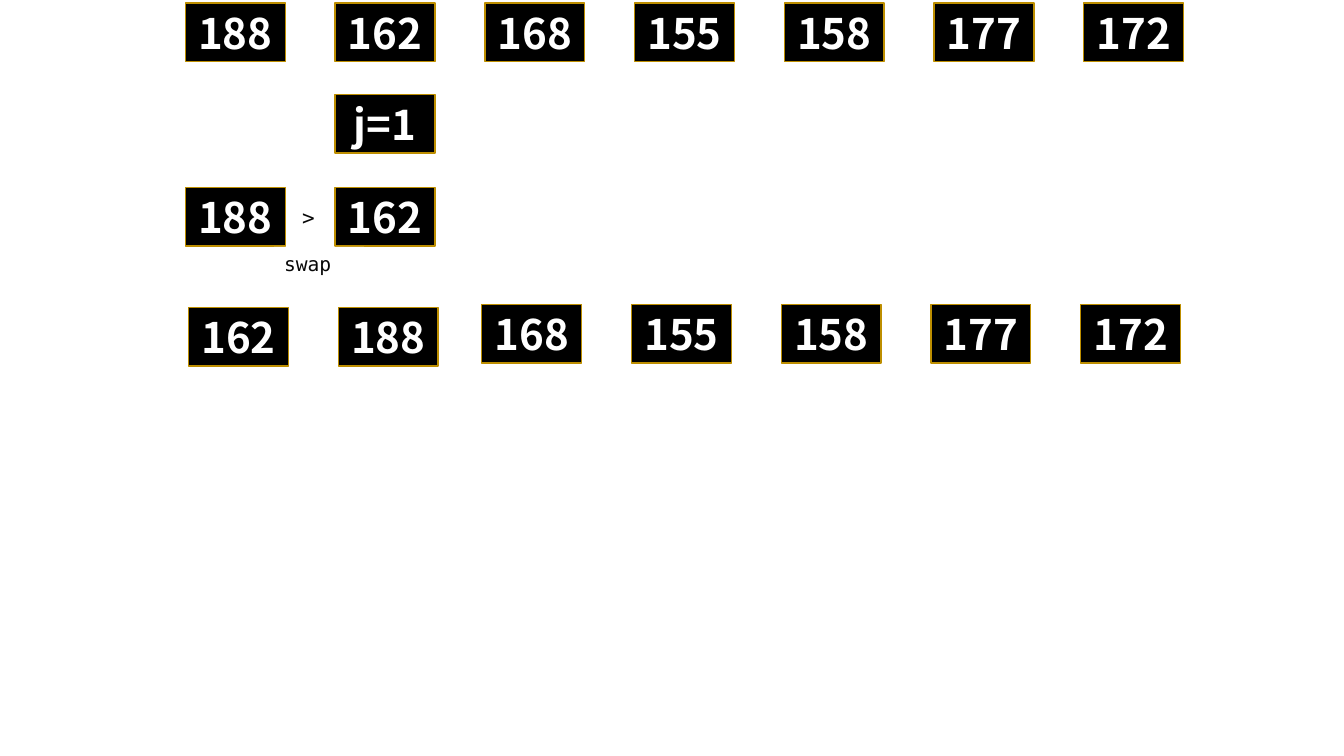
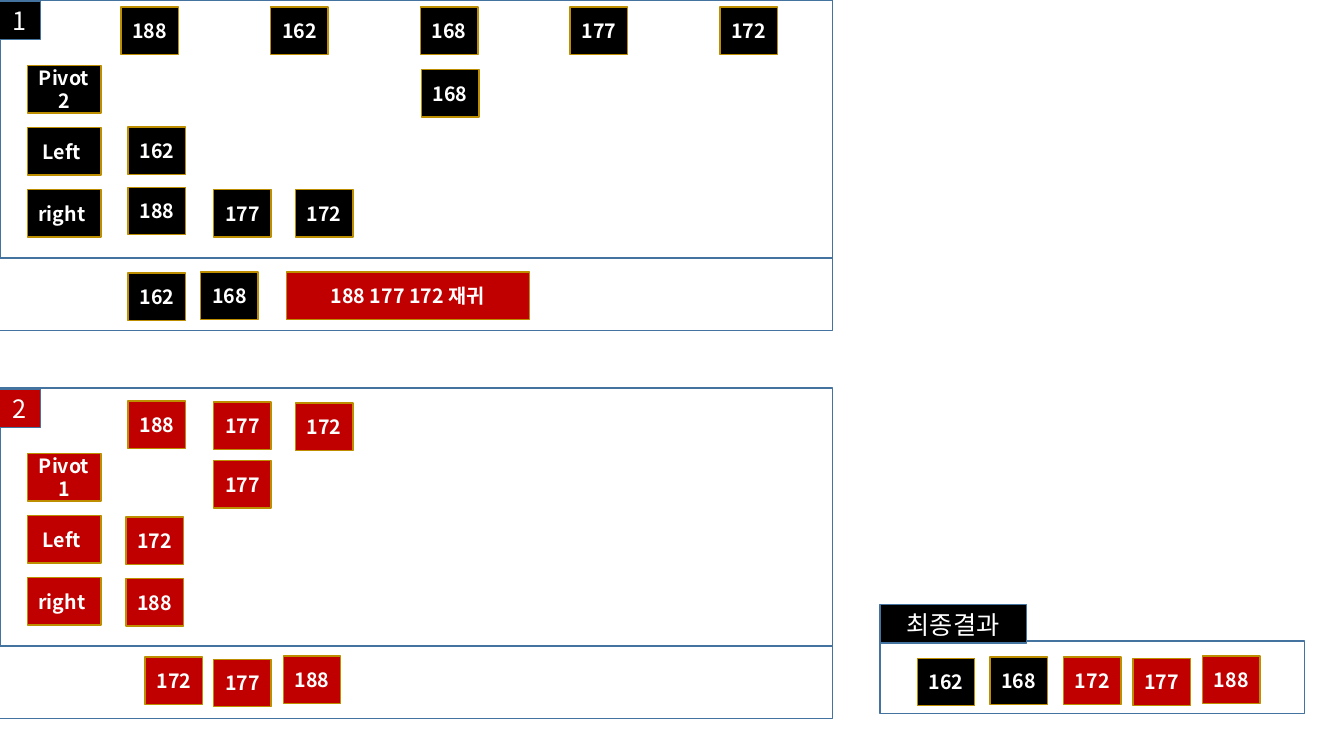
"""Build two slides that walk through a bubble sort swap and a quick sort."""
import dataclasses

import pptx
import pptx.dml.color
import pptx.enum.shapes
import pptx.enum.text
import pptx.util


@dataclasses.dataclass(frozen=True)
class Theme:
    width: float = 13.33
    height: float = 7.5
    black: str = "000000"
    red: str = "C00000"
    white: str = "FFFFFF"
    ink: str = "080808"
    gold: str = "BD8E00"
    blue: str = "43739E"
    sans: str = "Noto Sans CJK KR"
    mono: str = "DejaVu Sans Mono"
    big: int = 30
    badge: int = 18
    operator: int = 15
    small: int = 14
    pitch: float = 11.14
    big_tile: tuple = (7.43, 7.73)
    small_tile: tuple = (4.28, 6.27)
    label: tuple = (5.48, 6.27)
    panel: tuple = (61.95, 34.13)
    band_height: float = 9.6
    badge_height: float = 5.07


T = Theme()


def rgb(value):
    return pptx.dml.color.RGBColor.from_string(value)


def add_box(s, x, y, size, fill=None, line=None):
    w, h = size
    cells = ((x, T.width), (y, T.height), (w, T.width), (h, T.height))
    frame = [pptx.util.Inches(share * full / 100) for share, full in cells]
    sp = s.shapes.add_shape(pptx.enum.shapes.MSO_SHAPE.RECTANGLE, *frame)
    sp.shadow.inherit = False
    if fill:
        sp.fill.solid()
        sp.fill.fore_color.rgb = rgb(fill)
    else:
        sp.fill.background()
    if line:
        sp.line.color.rgb = rgb(line)
        sp.line.width = pptx.util.Pt(1)
    else:
        sp.line.fill.background()
    return sp


def write(sp, text, size, color=T.white, face=T.sans, bold=False, align="CENTER"):
    tf = sp.text_frame
    tf.word_wrap = True
    tf.vertical_anchor = pptx.enum.text.MSO_ANCHOR.MIDDLE
    tf.text = text
    for p in tf.paragraphs:
        p.alignment = pptx.enum.text.PP_ALIGN[align]
        p.font.name = face
        p.font.size = pptx.util.Pt(size)
        p.font.bold = bold
        p.font.color.rgb = rgb(color)


def add_tile(s, x, y, text, fill=T.black, size=T.small_tile, points=T.small):
    write(add_box(s, x, y, size, fill, T.gold), text, points, bold=True)


def add_big_tile(s, x, y, text):
    add_tile(s, x, y, text, size=T.big_tile, points=T.big)


def add_big_row(s, x, y, values):
    for i, value in enumerate(values):
        add_big_tile(s, x + i * T.pitch, y, value)


def add_note(s, x, y, size, text, points):
    sp = add_box(s, x, y, size, T.white)
    write(sp, text, points, T.ink, T.mono, align="LEFT")
    sp.text_frame.auto_size = pptx.enum.text.MSO_AUTO_SIZE.SHAPE_TO_FIT_TEXT


def add_badge(s, x, y, width, text, fill):
    sp = add_box(s, x, y, (width, T.badge_height), fill, T.blue)
    write(sp, text, T.badge)


def add_panel(s, top, number, pivot, fill, tiles):
    for i, name in enumerate((f"Pivot\n{pivot}", "Left ", "right ")):
        add_tile(s, 2.03, top + 8.67 + i * 8.2, name, fill, T.label)
    width, height = T.panel
    add_box(s, 0, top, T.panel, line=T.blue)
    add_box(s, -0.08, top + height, (width + 0.08, T.band_height), line=T.blue)
    add_badge(s, -0.08, top + 0.13, 3.08, number, fill)
    for x, y, value in tiles:
        add_tile(s, x, top + y, value, fill)


def build_bubble_sort(s):
    left, top, compare = 13.8, 0.4, 24.8
    rest = ("168", "155", "158", "177", "172")
    add_big_row(s, left, top, ("188", "162") + rest)
    add_big_tile(s, left + T.pitch, 12.5, "j=1")
    add_big_row(s, left, compare, ("188", "162"))
    add_note(s, 21.75, 26.4, (2.63, 4.67), ">", T.operator)
    add_note(s, 20.4, 32.67, (6.68, 4.53), "swap", T.small)
    add_big_row(s, 14.03, 40.67, ("162", "188"))
    add_big_row(s, 35.85, 40.27, rest)


def build_quick_sort(s):
    first, second, third = 9.53, 15.9, 21.98
    values = ("188", "162", "168", "177", "172")
    start = [(9 + i * T.pitch, 0.93, value) for i, value in enumerate(values)]
    add_panel(s, 0, "1", "2", T.black, start + [
        (31.35, 9.2, "168"),
        (first, 16.8, "162"),
        (first, 24.8, "188"), (second, 25.07, "177"), (third, 25.07, "172"),
        (first, 36.13, "162"), (14.93, 36, "168"),
    ])
    add_tile(s, 21.3, 36, "188 177 172 재귀", T.red, (18.08, 6.27))
    add_panel(s, 51.33, "2", "1", T.red, [
        (first, 1.73, "188"), (second, 1.87, "177"), (third, 2, "172"),
        (second, 9.6, "177"),
        (9.38, 17.07, "172"),
        (9.38, 25.2, "188"),
        (10.8, 35.6, "172"), (second, 35.87, "177"), (21.08, 35.47, "188"),
    ])
    add_box(s, 65.48, 84.8, (31.58, T.band_height), line=T.blue)
    add_badge(s, 65.48, 80, 10.88, "최종결과", T.black)
    for x, y, value, fill in (
        (68.25, 87.07, "162", T.black),
        (73.65, 86.93, "168", T.black),
        (79.13, 86.93, "172", T.red),
        (84.3, 87.07, "177", T.red),
        (89.48, 86.8, "188", T.red),
    ):
        add_tile(s, x, y, value, fill)


def main():
    prs = pptx.Presentation()
    prs.slide_width = pptx.util.Inches(T.width)
    prs.slide_height = pptx.util.Inches(T.height)
    for build in (build_bubble_sort, build_quick_sort):
        build(prs.slides.add_slide(prs.slide_layouts[6]))
    prs.save("out.pptx")


if __name__ == "__main__":
    main()
